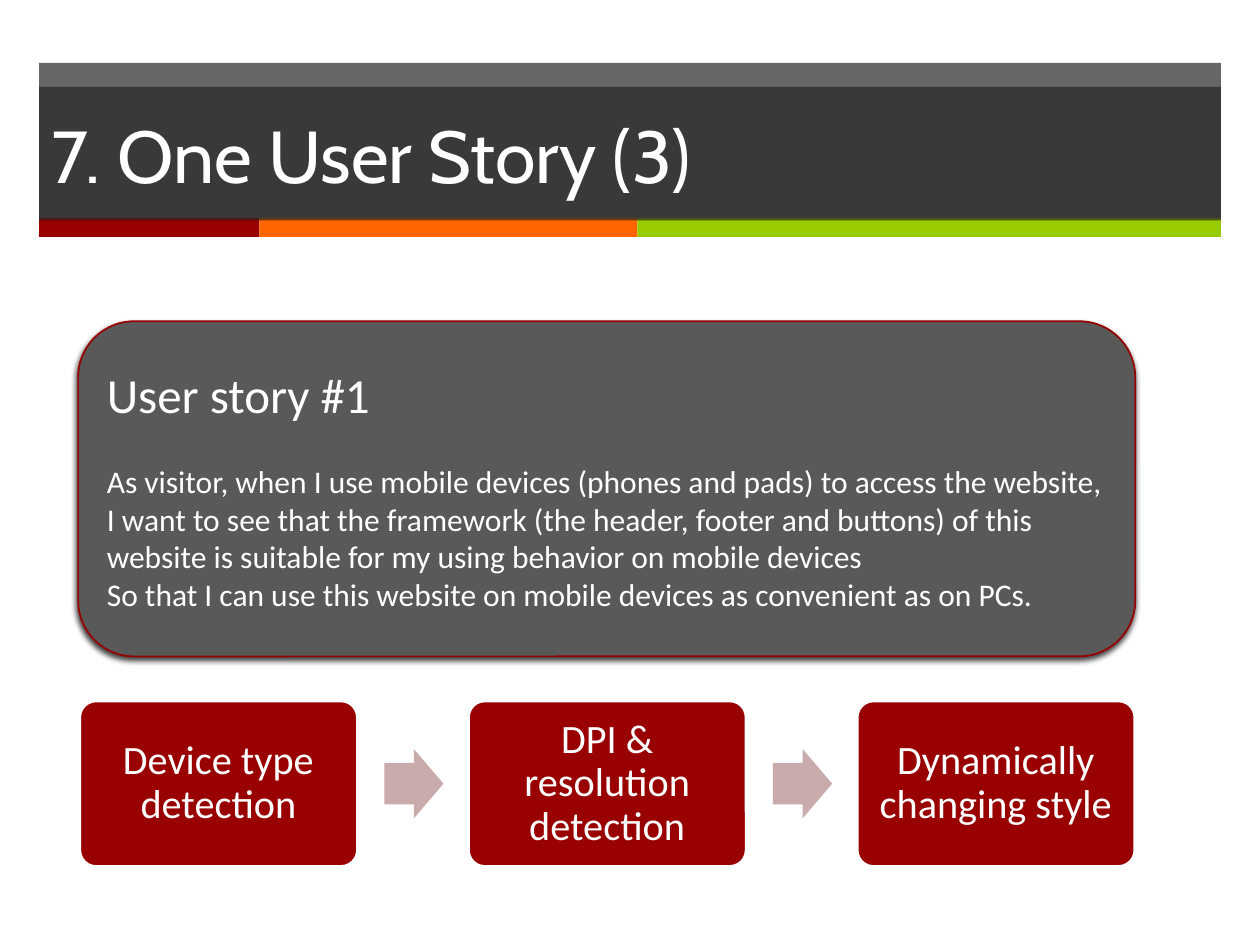
from lxml import etree
from pptx import Presentation
from pptx.dml.color import RGBColor
from pptx.enum.shapes import MSO_SHAPE
from pptx.enum.text import MSO_ANCHOR, PP_ALIGN
from pptx.oxml.ns import qn
from pptx.util import Inches, Pt

RECT, ROUND, ARROW = MSO_SHAPE.RECTANGLE, MSO_SHAPE.ROUNDED_RECTANGLE, MSO_SHAPE.RIGHT_ARROW
LEFT, CENTER = PP_ALIGN.LEFT, PP_ALIGN.CENTER
MIDDLE = MSO_ANCHOR.MIDDLE

WHITE = RGBColor(0xFF, 0xFF, 0xFF)
BLACK = RGBColor(0, 0, 0)
CHARCOAL = RGBColor(0x26, 0x26, 0x26)
GRAY = RGBColor(0x59, 0x59, 0x59)
RED = RGBColor(0x99, 0, 0)
DARK_RED = RGBColor(0x96, 0, 0)
ORANGE = RGBColor(0xFF, 0x66, 0)
GREEN = RGBColor(0x99, 0xCC, 0)
PINK = RGBColor(0xCA, 0xAB, 0xAB)

TITLE = "7. One User Story (3)"
STORY_HEADING = "User story #1"
STORY = [
    "As visitor, when I use mobile devices (phones and pads) to access the website, "
    "I want to see that the framework (the header, footer and buttons) of this website "
    "is suitable for my using behavior on mobile devices",
    "So that I can use this website on mobile devices as convenient as on PCs.",
]
STEPS = ["Device type detection", "DPI & resolution detection", "Dynamically changing style"]
STRIPES = [(RED, 1.75), (ORANGE, 3), (GREEN, 4.63)]

BAND_LEFT, BAND_WIDTH = 0.31, 9.38
STEP_LEFT, STEP_TOP, STEP_W, STEP_H, STEP_PITCH = 0.63, 5.56, 2.21, 1.32, 3.085
ARROW_W, ARROW_H, ARROW_GAP = 0.47, 0.55, 0.21


def set_fill(sp, color, alpha=None):
    sp.fill.solid()
    sp.fill.fore_color.rgb = color
    if alpha:
        clr = sp.fill._xPr.find(".//" + qn("a:srgbClr"))
        etree.SubElement(clr, qn("a:alpha"), val=str(alpha * 1000))


def add_box(s, kind, at, color, line=None, width=1, alpha=None, adj=()):
    sp = s.shapes.add_shape(kind, *map(Inches, at))
    sp.shadow.inherit = False
    set_fill(sp, color, alpha)
    if line is None:
        sp.line.fill.background()
    else:
        sp.line.color.rgb = line
        sp.line.width = Pt(width)
    for i, value in enumerate(adj):
        sp.adjustments[i] = value
    return sp


def add_text(tf, text, size, font="Calibri", align=LEFT, spacing=1.0, after=0, first=True):
    tf.word_wrap = True
    tf.vertical_anchor = MIDDLE
    p = tf.paragraphs[0] if first else tf.add_paragraph()
    p.alignment = align
    p.line_spacing = spacing
    p.space_before = Pt(0)
    p.space_after = Pt(after)
    r = p.add_run()
    r.text = text
    r.font.size = Pt(size)
    r.font.name = font
    r.font.color.rgb = WHITE


def add_shadow(sp, color, alpha, blur, dist, angle):
    effects = sp.element.spPr.find(qn("a:effectLst"))
    shadow = etree.SubElement(effects, qn("a:outerShdw"), blurRad=str(Pt(blur)),
                              dist=str(Pt(dist)), dir=str(angle * 60000), rotWithShape="0")
    clr = etree.SubElement(shadow, qn("a:srgbClr"), val=str(color))
    etree.SubElement(clr, qn("a:alpha"), val=str(alpha * 1000))


def add_header(s):
    add_box(s, RECT, (BAND_LEFT, 0.5, BAND_WIDTH, 1.24), CHARCOAL, alpha=70)
    x = BAND_LEFT
    for color, width in STRIPES:
        add_box(s, RECT, (x, 1.73, width, 0.15), color)
        x += width
    title = s.shapes.title
    title.left, title.top, title.width, title.height = map(
        Inches, (BAND_LEFT, 0.69, BAND_WIDTH, 1.06))
    set_fill(title, CHARCOAL, 70)
    add_text(title.text_frame, TITLE, 42, font="Cabin")
    title.element.getparent().append(title.element)


def add_story(s):
    card = add_box(s, ROUND, (0.62, 2.55, 8.39, 2.66), GRAY, line=DARK_RED)
    add_shadow(card, BLACK, 75, 3, 2, 110)
    add_text(card.text_frame, STORY_HEADING, 28, after=22)
    for text in STORY:
        add_text(card.text_frame, text, 18, first=False)


def add_steps(s):
    for i, text in enumerate(STEPS):
        x = STEP_LEFT + i * STEP_PITCH
        if i:
            arrow_x = x - STEP_PITCH + STEP_W + ARROW_GAP
            arrow_y = STEP_TOP + (STEP_H - ARROW_H) / 2
            add_box(s, ARROW, (arrow_x, arrow_y, ARROW_W, ARROW_H), PINK, adj=(0.6, 0.5))
        step = add_box(s, ROUND, (x, STEP_TOP, STEP_W, STEP_H), RED,
                       line=WHITE, width=2, adj=(0.1,))
        tf = step.text_frame
        tf.margin_left = tf.margin_right = tf.margin_top = tf.margin_bottom = Inches(0.1)
        add_text(tf, text, 23, align=CENTER, spacing=0.9)


def main():
    prs = Presentation()
    prs.slide_width, prs.slide_height = Inches(10), Inches(7.5)
    s = prs.slides.add_slide(prs.slide_layouts[5])
    add_header(s)
    add_story(s)
    add_steps(s)
    prs.save("out.pptx")


if __name__ == "__main__":
    main()
